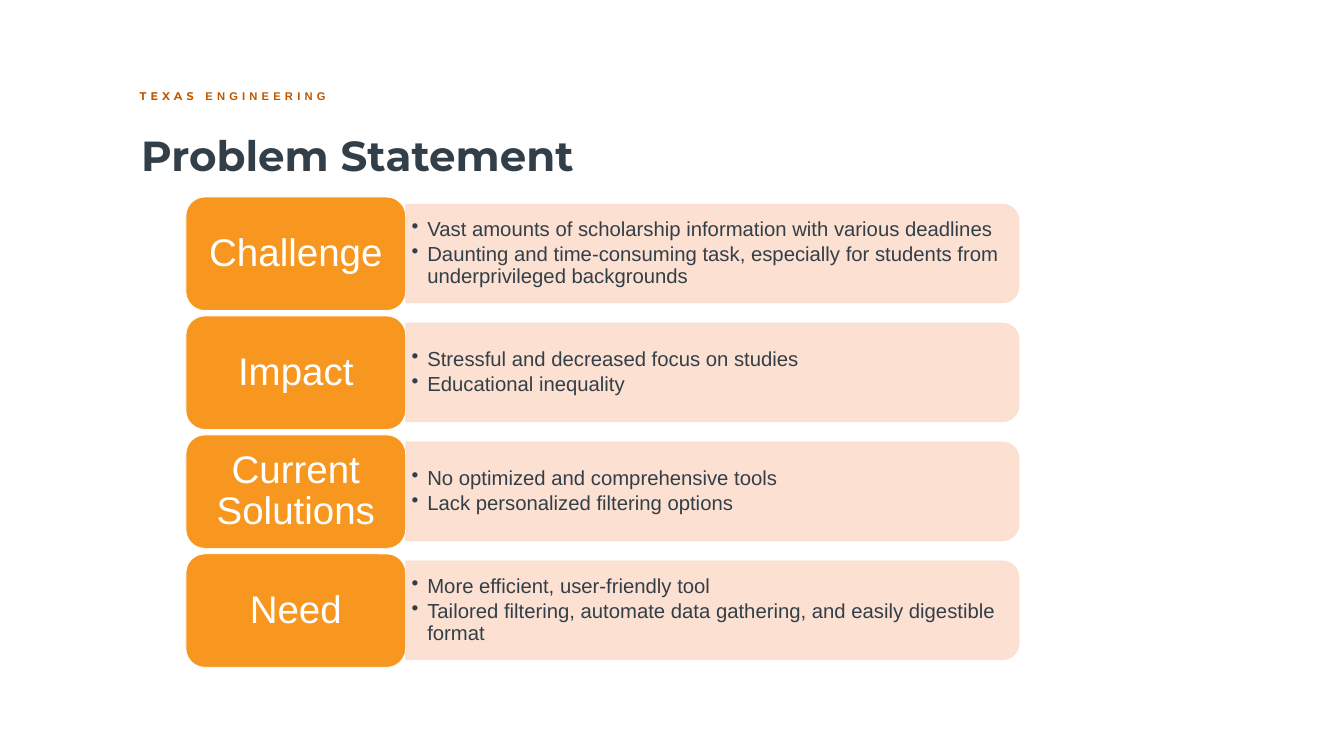
from dataclasses import dataclass

from lxml.etree import SubElement
from pptx import Presentation
from pptx.dml.color import RGBColor
from pptx.enum.shapes import MSO_SHAPE
from pptx.enum.text import MSO_ANCHOR, PP_ALIGN
from pptx.oxml.ns import qn
from pptx.util import Inches, Pt


@dataclass(frozen=True)
class Theme:
    """Colours, fonts and type sizes of the slide."""
    burnt: RGBColor = RGBColor(0xBF, 0x57, 0x00)
    slate: RGBColor = RGBColor(0x33, 0x3F, 0x48)
    orange: RGBColor = RGBColor(0xF8, 0x97, 0x1F)
    peach: RGBColor = RGBColor(0xFC, 0xDD, 0xCD)
    white: RGBColor = RGBColor(0xFF, 0xFF, 0xFF)
    display: str = "Montserrat"
    body: str = "Arial"
    kicker_size: int = 16
    title_size: int = 60
    label_size: int = 55
    bullet_size: int = 29


THEME = Theme()
ROWS = [
    ("Challenge", [
        "Vast amounts of scholarship information with various deadlines",
        "Daunting and time-consuming task, especially for students from "
        "underprivileged backgrounds"]),
    ("Impact", [
        "Stressful and decreased focus on studies",
        "Educational inequality"]),
    ("Current Solutions", [
        "No optimized and comprehensive tools",
        "Lack personalized filtering options"]),
    ("Need", [
        "More efficient, user-friendly tool",
        "Tailored filtering, automate data gathering, and easily digestible format"]),
]


def add_span(para, text, *, size, color, font=THEME.body, bold=False, spacing=0):
    """Add a formatted run of text to a paragraph."""
    span = para.add_run()
    span.text = text
    span.font.size = Pt(size)
    span.font.name = font
    span.font.bold = bold
    span.font.color.rgb = color
    if spacing:
        span.font._element.set("spc", str(spacing * 100))


def add_box(page, left, top, width, height):
    """Add a wrapping text box and return its text frame."""
    box = page.shapes.add_textbox(Inches(left), Inches(top), Inches(width), Inches(height))
    box.text_frame.word_wrap = True
    return box.text_frame


def center_text(frame, side, edge):
    """Anchor the text in the middle and set its margins."""
    frame.word_wrap = True
    frame.vertical_anchor = MSO_ANCHOR.MIDDLE
    frame.margin_left = frame.margin_right = Inches(side)
    frame.margin_top = frame.margin_bottom = Inches(edge)


def add_panel(page, kind, left, top, width, height, *, fill, line, opacity=100):
    """Add a flat filled shape with a one-point outline."""
    panel = page.shapes.add_shape(
        kind, Inches(left), Inches(top), Inches(width), Inches(height))
    panel.shadow.inherit = False
    panel.fill.solid()
    panel.fill.fore_color.rgb = fill
    panel.line.color.rgb = line
    panel.line.width = Pt(1)
    if opacity < 100:
        for color in panel._element.spPr.iter(qn("a:srgbClr")):
            SubElement(color, qn("a:alpha"), val=str(opacity * 1000))
    return panel


def add_bullet(para):
    """Give a paragraph a hanging bullet."""
    props = para._p.get_or_add_pPr()
    props.set("marL", str(Inches(0.31)))
    props.set("indent", str(-Inches(0.31)))
    SubElement(props, qn("a:buChar"), char="•")


def add_header(page, left, top, width):
    """Place the kicker line and the title below it."""
    kicker = add_box(page, left, top, 12.11, 0.37).paragraphs[0]
    style = dict(size=THEME.kicker_size, color=THEME.burnt, bold=True, spacing=6)
    add_span(kicker, "TEXAS", font=THEME.display, **style)
    add_span(kicker, " ENGINEERING", **style)
    title = add_box(page, left + 0.03, top + 0.79, width, 1.11).paragraphs[0]
    add_span(title, "Problem Statement", size=THEME.title_size,
             color=THEME.slate, font=THEME.display, bold=True)


def add_points(page, points, left, top, width, height):
    """Place a panel rounded on its right side with its bullet list."""
    panel = add_panel(
        page, MSO_SHAPE.ROUND_2_SAME_RECTANGLE,
        left + (width - height) / 2, top + (height - width) / 2, height, width,
        fill=THEME.peach, line=THEME.peach, opacity=90)
    panel.rotation = 90
    frame = add_box(page, left, top + 0.1, width - 0.1, height - 0.2)
    center_text(frame, 0.12, 0.06)
    for index, point in enumerate(points):
        para = frame.add_paragraph() if index else frame.paragraphs[0]
        para.line_spacing = 0.9
        if index:
            para.space_before = Pt(0.15 * THEME.bullet_size)
        add_bullet(para)
        add_span(para, point, size=THEME.bullet_size, color=THEME.slate)


def add_row(page, label, points, left, top, width, height):
    """Place a label block and the panel of points beside it."""
    label_width = 4.36
    add_points(page, points, left + label_width, top + 0.14,
               width - label_width, height - 0.29)
    block = add_panel(page, MSO_SHAPE.ROUNDED_RECTANGLE, left, top, label_width, height,
                      fill=THEME.orange, line=THEME.white)
    center_text(block.text_frame, 0.23, 0.11)
    para = block.text_frame.paragraphs[0]
    para.alignment = PP_ALIGN.CENTER
    para.line_spacing = 0.9
    add_span(para, label, size=THEME.label_size, color=THEME.white)


def add_rows(page, left, top, width, height, gap):
    """Stack the rows evenly in the given box."""
    row_height = (height - gap * (len(ROWS) - 1)) / len(ROWS)
    for index, (label, points) in enumerate(ROWS):
        add_row(page, label, points, left, top + index * (row_height + gap),
                width, row_height)


def main():
    """Build the slide and save it."""
    deck = Presentation()
    deck.slide_width, deck.slide_height = Inches(26.67), Inches(15)
    page = deck.slides.add_slide(deck.slide_layouts[6])
    add_header(page, 2.67, 1.73, 21.56)
    add_rows(page, 3.69, 3.91, 16.53, 9.33, gap=0.11)
    deck.save("out.pptx")


if __name__ == "__main__":
    main()
